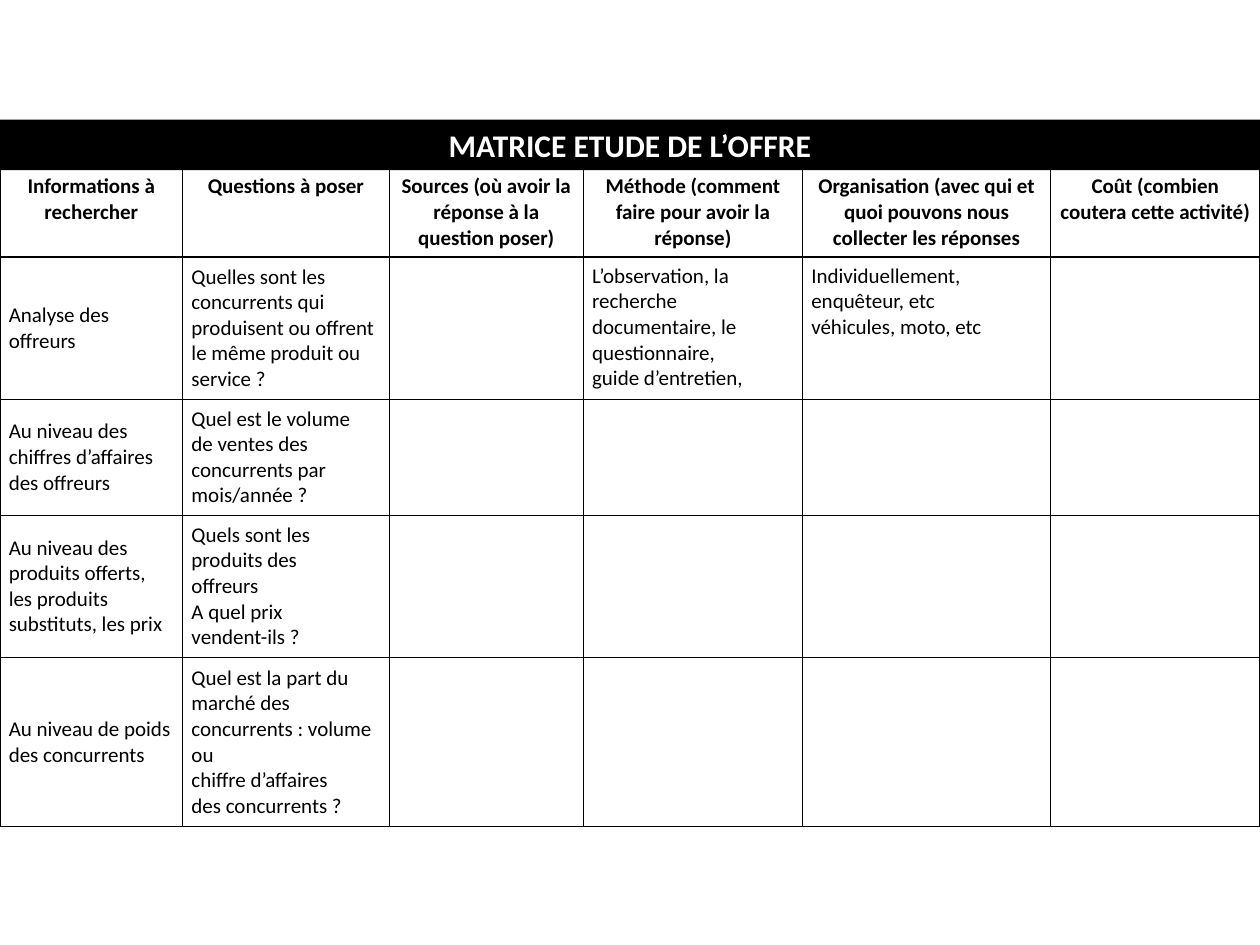
from lxml import etree
from pptx import Presentation
from pptx.dml.color import RGBColor
from pptx.enum.text import MSO_ANCHOR, MSO_AUTO_SIZE, PP_ALIGN
from pptx.oxml.ns import qn
from pptx.util import Inches, Pt

CENTER, LEFT = PP_ALIGN.CENTER, PP_ALIGN.LEFT
TOP, MIDDLE = MSO_ANCHOR.TOP, MSO_ANCHOR.MIDDLE
FIXED_SIZE = MSO_AUTO_SIZE.NONE
TITLE_ONLY = 5
WIDTH, HEIGHT = 10, 7.5

# Column widths and row heights of the matrix, in inches
COLUMNS = [1.45, 1.64, 1.54, 1.74, 1.97, 1.66]
ROWS = [0.71, 1.13, 0.92, 1.13, 1.34]

HEADERS = [
    "Informations à rechercher",
    "Questions à poser",
    "Sources (où avoir la réponse à la question poser)",
    "Méthode (comment faire pour avoir la réponse)",
    "Organisation (avec qui et quoi pouvons nous collecter les réponses",
    "Coût (combien coutera cette activité)",
]
BODY = [
    ["Analyse des\noffreurs",
     "Quelles sont les\nconcurrents qui produisent ou offrent le même produit ou service ?",
     "",
     "L’observation, la\nrecherche\ndocumentaire, le\nquestionnaire,\nguide d’entretien,",
     "Individuellement, enquêteur, etc\nvéhicules, moto, etc",
     ""],
    ["Au niveau des\nchiffres d’affaires\ndes offreurs",
     "Quel est le volume\nde ventes des\nconcurrents par\nmois/année ?",
     "", "", "", ""],
    ["Au niveau des\nproduits offerts, les produits substituts, les prix",
     "Quels sont les\nproduits des\noffreurs\nA quel prix\nvendent-ils ?",
     "", "", "", ""],
    ["Au niveau de poids\ndes concurrents",
     "Quel est la part du\nmarché des\nconcurrents : volume ou\nchiffre d’affaires\ndes concurrents ?",
     "", "", "", ""],
]


def color(value):
    return RGBColor.from_string(value)


class MatrixSlide:
    font = "Calibri"
    ink = "000000"
    paper = "FFFFFF"
    line_width = 0.96

    def __init__(self, deck):
        self.slide = deck.slides.add_slide(deck.slide_layouts[TITLE_ONLY])

    def style_text(self, frame, size, hue, bold, align):
        for para in frame.paragraphs:
            para.alignment = align
            para.font.size = Pt(size)
            for span in para.runs:
                span.font.name = self.font
                span.font.size = Pt(size)
                span.font.bold = bold
                span.font.color.rgb = color(hue)

    def title(self, text, top, height):
        box = self.slide.shapes.title
        box.left, box.top = 0, Inches(top)
        box.width, box.height = Inches(WIDTH), Inches(height)
        box.fill.solid()
        box.fill.fore_color.rgb = color(self.ink)
        frame = box.text_frame
        frame.text = text
        frame.word_wrap = True
        frame.auto_size = FIXED_SIZE
        frame.vertical_anchor = TOP
        self.style_text(frame, 18, self.paper, True, CENTER)

    def border(self, cell):
        properties = cell._tc.get_or_add_tcPr()
        for side in ("lnL", "lnR", "lnT", "lnB"):
            line = etree.SubElement(properties, qn(f"a:{side}"), w=str(Pt(self.line_width)))
            fill = etree.SubElement(line, qn("a:solidFill"))
            etree.SubElement(fill, qn("a:srgbClr"), val=self.ink)

    def cell(self, cell, text, header, anchor):
        self.border(cell)
        cell.fill.background()
        cell.margin_left = cell.margin_right = Inches(0.07)
        cell.margin_top = cell.margin_bottom = Inches(0.05)
        cell.vertical_anchor = anchor
        cell.text_frame.text = text
        self.style_text(cell.text_frame, 12, self.ink, header, CENTER if header else LEFT)

    def table(self, rows, top):
        table = self.slide.shapes.add_table(
            len(ROWS), len(COLUMNS), 0, Inches(top),
            Inches(WIDTH), Inches(sum(ROWS))).table
        table.first_row = table.horz_banding = False
        for column, width in zip(table.columns, COLUMNS):
            column.width = Inches(width)
        for r, (row, height) in enumerate(zip(table.rows, ROWS)):
            row.height = Inches(height)
            for c, text in enumerate(rows[r]):
                # The first two body columns are centred vertically
                anchor = MIDDLE if r > 0 and c < 2 else TOP
                self.cell(table.cell(r, c), text, r == 0, anchor)


def main():
    deck = Presentation()
    deck.slide_width, deck.slide_height = Inches(WIDTH), Inches(HEIGHT)
    page = MatrixSlide(deck)

    # Title band, then the matrix just below it
    page.title("MATRICE ETUDE DE L’OFFRE", top=0.95, height=0.4)
    page.table([HEADERS] + BODY, top=1.33)

    deck.save("out.pptx")


if __name__ == "__main__":
    main()
